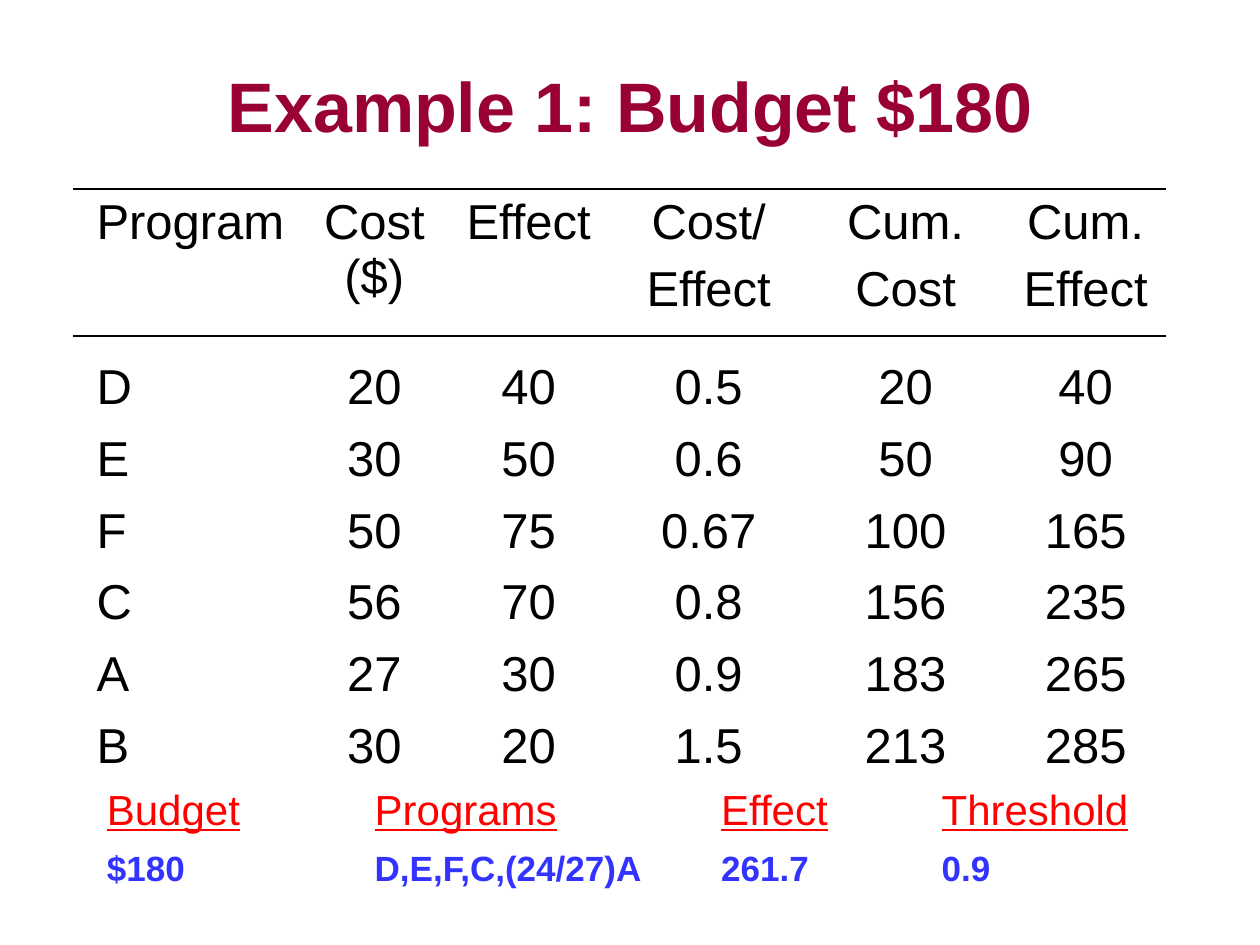
from lxml.etree import SubElement
from pptx import Presentation
from pptx.dml.color import RGBColor
from pptx.enum.shapes import MSO_CONNECTOR
from pptx.enum.text import MSO_ANCHOR, PP_ALIGN
from pptx.oxml.ns import qn
from pptx.util import Inches, Pt

MAROON = RGBColor(0x99, 0x00, 0x33)
BLACK = RGBColor(0x00, 0x00, 0x00)
RED = RGBColor(0xFF, 0x00, 0x00)
BLUE = RGBColor(0x33, 0x33, 0xFF)

COLUMN_WIDTHS = [21, 13.3, 16.1, 18.2, 19.3, 15]
HEADER_HEIGHT = 15.7
PROGRAM_HEIGHT = 6.84
SUMMARY_TABS = [25.5, 58.5, 79.5]

PROGRAMS = [
    ["Program", "Cost ($)", "Effect", "Cost/\nEffect", "Cum.\nCost", "Cum.\nEffect"],
    ["D", "20", "40", "0.5", "20", "40"],
    ["E", "30", "50", "0.6", "50", "90"],
    ["F", "50", "75", "0.67", "100", "165"],
    ["C", "56", "70", "0.8", "156", "235"],
    ["A", "27", "30", "0.9", "183", "265"],
    ["B", "30", "20", "1.5", "213", "285"],
]
SUMMARY_HEADINGS = ["Budget", "Programs", "Effect", "Threshold"]
SUMMARY_VALUES = ["$180", "D,E,F,C,(24/27)A", "261.7", "0.9"]


def grid(units):
    return Inches(units / 12)


def write(frame, text, size, color, font="Arial", bold=False, underline=False,
          align=PP_ALIGN.LEFT, before=0, tabs=()):
    for index, line in enumerate(text.split("\n")):
        para = frame.add_paragraph() if index else frame.paragraphs[0]
        para.alignment = align
        para.space_before = Pt(before)
        if tabs:
            stops = SubElement(para._p.get_or_add_pPr(), qn("a:tabLst"))
            for tab in tabs:
                SubElement(stops, qn("a:tab"), pos=str(grid(tab)), algn="l")
        for position, part in enumerate(line.split("\t")):
            pieces = [("\t", False)] if position else []
            for content, underlined in pieces + [(part, underline)]:
                span = para.add_run()
                span.text = content
                span.font.name = font
                span.font.size = Pt(size)
                span.font.bold = bold
                span.font.underline = underlined
                span.font.color.rgb = color


class BudgetSlide:
    """Holds the style and the current slide, on a grid of 120 columns by 90 rows."""

    def __init__(self, page, font="Arial", ink=BLACK, table_size=28):
        self.page = page
        self.font = font
        self.ink = ink
        self.table_size = table_size

    def text(self, left, top, width, height, content, anchor=MSO_ANCHOR.TOP, **style):
        box = self.page.shapes.add_textbox(*map(grid, (left, top, width, height)))
        box.text_frame.word_wrap = True
        box.text_frame.vertical_anchor = anchor
        write(box.text_frame, content, font=self.font, **style)

    def table(self, left, top, widths, heights, rows):
        frame = self.page.shapes.add_table(
            len(rows), len(widths), grid(left), grid(top),
            grid(sum(widths)), grid(sum(heights)))
        table = frame.table
        table.first_row = table.horz_banding = False
        for column, width in zip(table.columns, widths):
            column.width = grid(width)
        for row, height, values in zip(table.rows, heights, rows):
            row.height = grid(height)
            for index, (cell, value) in enumerate(zip(row.cells, values)):
                cell.fill.background()
                write(cell.text_frame, value, self.table_size, self.ink, self.font,
                      align=PP_ALIGN.CENTER if index else PP_ALIGN.LEFT, before=7)

    def rule(self, left, right, row):
        line = self.page.shapes.add_connector(
            MSO_CONNECTOR.STRAIGHT, *map(grid, (left, row, right, row)))
        line.line.color.rgb = self.ink
        line.line.width = Pt(1)
        SubElement(line._element.spPr, qn("a:effectLst"))


def main():
    deck = Presentation()
    deck.slide_width, deck.slide_height = grid(120), grid(90)
    slide = BudgetSlide(deck.slides.add_slide(deck.slide_layouts[6]))

    slide.text(9, 5, 102, 10, "Example 1: Budget $180", anchor=MSO_ANCHOR.MIDDLE,
               size=40, color=MAROON, bold=True, align=PP_ALIGN.CENTER)
    heights = [HEADER_HEIGHT] + [PROGRAM_HEIGHT] * (len(PROGRAMS) - 1)
    slide.table(8, 18, COLUMN_WIDTHS, heights, PROGRAMS)
    for row in (32, 18):
        slide.rule(7, 111, row)
    slide.text(9, 74, 104, 6, "\t".join(SUMMARY_HEADINGS),
               size=24, color=RED, underline=True, tabs=SUMMARY_TABS)
    slide.text(9, 80, 105, 5.25, "\t".join(SUMMARY_VALUES),
               size=20, color=BLUE, bold=True, tabs=SUMMARY_TABS)

    deck.save("out.pptx")


if __name__ == "__main__":
    main()
